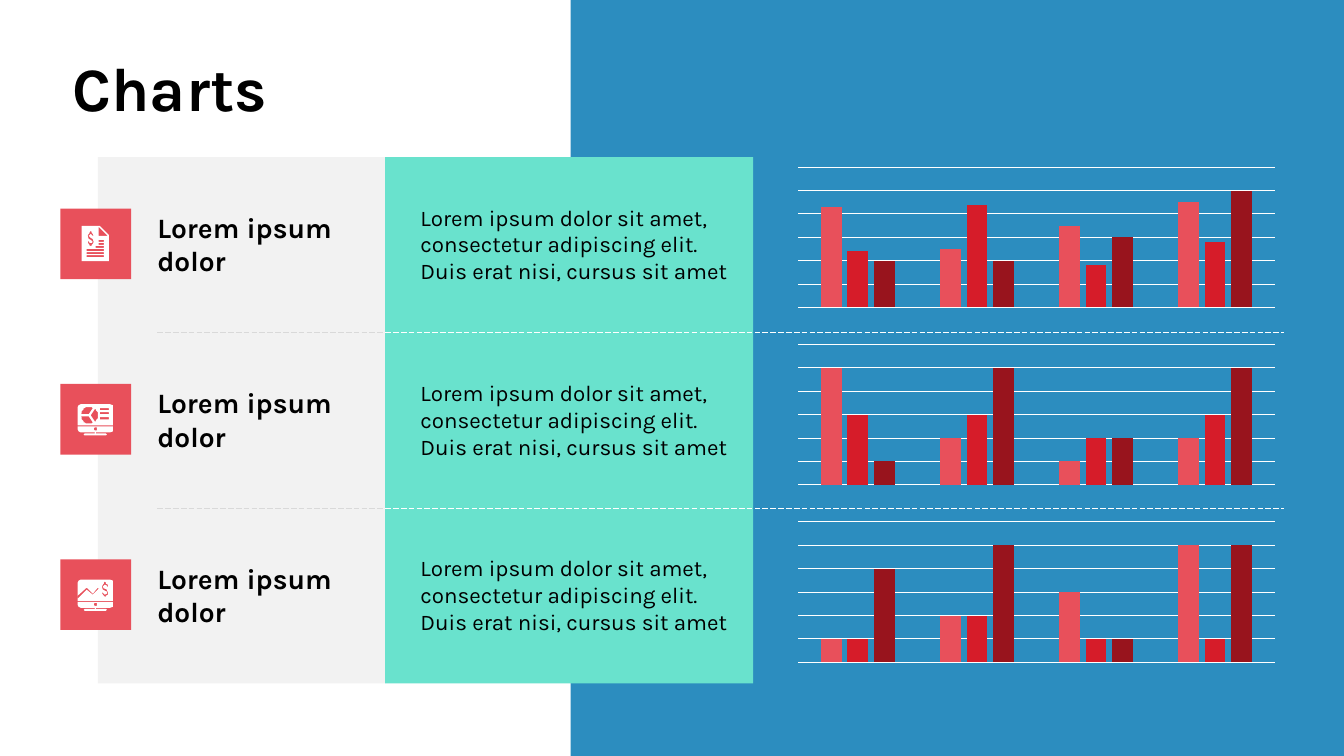
from math import cos, radians, sin

from lxml.etree import SubElement
from pptx import Presentation
from pptx.chart.data import CategoryChartData
from pptx.dml.color import RGBColor
from pptx.enum.chart import XL_CHART_TYPE as ChartType
from pptx.enum.dml import MSO_LINE
from pptx.enum.shapes import MSO_CONNECTOR, MSO_SHAPE
from pptx.enum.text import MSO_ANCHOR, PP_ALIGN
from pptx.oxml.ns import qn
from pptx.util import Inches, Pt

WHITE, BLACK, GREY, BLUE, MINT = "FFFFFF", "000000", "F2F2F2", "2C8DBF", "69E2CD"
CORAL, RED, DARK_RED, RULE_GREY = "E8505B", "D61C29", "98141D", "D9D9D9"
HEADING = "Lorem ipsum dolor"
BODY = ("Lorem ipsum dolor sit amet, consectetur adipiscing elit. "
        "Duis erat nisi, cursus sit amet")
TILE = 0.7
ROW_HEIGHT = 1.74

DOLLAR = [(0, 1.5), (-2, 0.5), (-3, -2.5), (-2.5, -4.5), (-1, -5.5), (-1, -6.8),
          (0, -7.5), (1, -6.8), (1, -5.5), (2.5, -4.5), (3, -2.5), (1.8, -2.5),
          (1.2, -4), (0, -4.5), (-1.2, -4), (-1.8, -2.5), (-1.2, -1), (0, -0.5),
          (2, 0.5), (3, 3.5), (2.5, 5.5), (1, 6.5), (0.8, 7.5), (-0.8, 7.5),
          (-1, 6.5), (-2.5, 5.5), (-3, 3.5), (-1.8, 3), (-1.2, 4.5), (0, 5),
          (1.2, 4.5), (1.8, 3.5), (1.2, 2)]
MONITOR_BASE = [(17, 42), (17, 45), (18, 47.2), (20, 48), (34, 48), (34, 49),
                (24, 49), (23, 50), (24, 51), (45, 51), (46, 50), (45, 49),
                (35, 49), (35, 48), (49, 48), (51.5, 47.2), (52.5, 45), (52.5, 42)]
MONITOR_SCREEN = [(49, 20), (20, 20), (18, 21), (17, 23), (17, 41),
                  (52.5, 41), (52.5, 23), (51.5, 21)]


def color(hex_code):
    """Turn a hex string into a colour."""
    return RGBColor.from_string(hex_code)


def add_block(slide, left, top, width, height, fill, kind=MSO_SHAPE.RECTANGLE):
    """Add a flat shape without outline."""
    shape = slide.shapes.add_shape(
        kind, Inches(left), Inches(top), Inches(width), Inches(height))
    flatten(shape, fill)
    return shape


def flatten(shape, fill):
    """Give a shape one plain fill, no outline and no shadow."""
    shape.shadow.inherit = False
    shape.fill.solid()
    shape.fill.fore_color.rgb = color(fill)
    shape.line.fill.background()


def set_text(shape, text, size=16, bold=False, spacing=None, inset=None):
    """Write left-aligned, vertically centred text into a shape."""
    frame = shape.text_frame
    frame.word_wrap = True
    frame.vertical_anchor = MSO_ANCHOR.MIDDLE
    if inset is not None:
        frame.margin_left = frame.margin_right = Inches(inset)
        frame.margin_top = frame.margin_bottom = Inches(inset)
    paragraph = frame.paragraphs[0]
    paragraph.alignment = PP_ALIGN.LEFT
    paragraph.line_spacing = spacing
    run = paragraph.add_run()
    run.text = text
    run.font.name = "Karla"
    run.font.size = Pt(size)
    run.font.bold = bold
    run.font.color.rgb = color(BLACK)


def add_label(slide, left, top, width, height, text, **text_format):
    """Add a text box without insets."""
    box = slide.shapes.add_textbox(
        Inches(left), Inches(top), Inches(width), Inches(height))
    set_text(box, text, inset=0, **text_format)


def add_rule(slide, left, right, top, line_color):
    """Add a thin dashed horizontal line."""
    rule = slide.shapes.add_connector(
        MSO_CONNECTOR.STRAIGHT, Inches(left), Inches(top), Inches(right), Inches(top))
    rule.line.color.rgb = color(line_color)
    rule.line.width = Pt(0.5)
    rule.line.dash_style = MSO_LINE.LONG_DASH
    SubElement(rule._element.spPr, qn("a:effectLst"))


def bar(left, top, right, height):
    """Return the outline of a small bar."""
    return [(left, top), (right, top), (right, top + height), (left, top + height)]


def arc(x, y, radius, start, end):
    """Return points along an arc given in degrees."""
    steps = 16
    angles = [radians(start + (end - start) * step / steps) for step in range(steps + 1)]
    return [(x + radius * cos(angle), y + radius * sin(angle)) for angle in angles]


def dollar(x, y):
    """Return a dollar sign outline centred on a point."""
    return [(x + dx, y + dy) for dx, dy in DOLLAR]


def add_outline(slide, left, top, contours):
    """Add a white outline with cut-outs, in hundredths of an inch."""
    builder = slide.shapes.build_freeform(*contours[0][0], scale=Inches(0.01))
    builder.add_line_segments(contours[0][1:])
    for contour in contours[1:]:
        builder.move_to(*contour[0])
        builder.add_line_segments(contour[1:])
    flatten(builder.convert_to_shape(Inches(left), Inches(top)), WHITE)


def add_invoice_icon(slide, left, top):
    """Draw a sheet with a dollar sign and text lines."""
    sheet = [(48, 26), (39, 17), (21, 17), (21, 52.5), (48, 52.5)]
    fold = [(43, 27), (38, 27), (38, 18), (47, 27)]
    starts = [38, 38, 35, 26, 26, 26]
    lines = [bar(start, 31.2 + 3 * index, 43, 1.5) for index, start in enumerate(starts)]
    add_outline(slide, left, top, [sheet, fold, dollar(30, 29.5), *lines])


def add_monitor(slide, left, top, cutouts):
    """Draw a monitor whose screen shows the given cut-outs."""
    add_outline(slide, left, top, [MONITOR_BASE, arc(34.75, 44.5, 1.5, 0, 360)])
    add_outline(slide, left, top, [MONITOR_SCREEN, *cutouts])


def add_dashboard_icon(slide, left, top):
    """Draw a monitor with a pie and text lines."""
    slices = [(28, 30.2, 180, 300), (28, 31.8, 60, 180), (29.8, 31, -58, 58)]
    pie = [[(x, y), *arc(x, y, 7.5, start, end)] for x, y, start, end in slices]
    lines = [bar(39, 24 + 4.5 * index, 48, 1.6) for index in range(3)]
    add_monitor(slide, left, top, pie + lines)


def add_trend_icon(slide, left, top):
    """Draw a monitor with a trend line and a dollar sign."""
    trend = [(17, 36.5), (26, 28), (32, 33.5), (37.4, 28.2), (38.2, 29),
             (32, 35), (26, 29.5), (17, 39)]
    add_monitor(slide, left, top, [trend, dollar(44.3, 29.8)])


def add_column_chart(slide, left, top, width, height, rows):
    """Add a clustered column chart with gridlines only."""
    data = CategoryChartData()
    data.categories = ["1", "2", "3", "4"]
    for number, values in enumerate(rows, 1):
        data.add_series(f"Series {number}", values)
    chart = slide.shapes.add_chart(
        ChartType.COLUMN_CLUSTERED, Inches(left), Inches(top),
        Inches(width), Inches(height), data).chart
    chart.has_title = chart.has_legend = False
    chart.font.name = "Calibri"
    chart.font.size = Pt(10)
    chart.font.color.rgb = color(BLACK)
    chart.category_axis.visible = False
    axis = chart.value_axis
    axis.visible = False
    axis.minimum_scale, axis.maximum_scale, axis.major_unit = 0, 120, 20
    axis.has_major_gridlines = True
    axis.major_gridlines.format.line.color.rgb = color(WHITE)
    axis.major_gridlines.format.line.width = Pt(0.75)
    plot = chart.plots[0]
    plot.vary_by_categories = False
    plot.gap_width, plot.overlap = 219, -27
    for series, fill in zip(plot.series, (CORAL, RED, DARK_RED)):
        series.format.fill.solid()
        series.format.fill.fore_color.rgb = color(fill)


def add_row(slide, left, top, draw_icon):
    """Add an icon tile with its heading and description."""
    tile = add_block(slide, left, top, TILE, TILE, CORAL, MSO_SHAPE.ROUNDED_RECTANGLE)
    tile.adjustments[0] = 0
    add_label(slide, left + 0.96, top, 1.95, TILE, HEADING, size=20, bold=True)
    add_label(slide, left + 3.57, top, 3.05, TILE, BODY)
    draw_icon(slide, left, top)


def add_title(slide, left, top, width, height, text):
    """Place and format the title."""
    title = slide.shapes.title
    title.left, title.top = Inches(left), Inches(top)
    title.width, title.height = Inches(width), Inches(height)
    set_text(title, text, size=44, bold=True, spacing=0.9)


def build_charts_slide(presentation):
    """Build the slide with three rows of text and charts."""
    slide = presentation.slides.add_slide(presentation.slide_layouts[5])
    top = 1.56
    add_block(slide, 0.97, top, 2.85, 3 * ROW_HEIGHT, GREY)
    add_block(slide, 5.66, 0, 7.67, 7.5, BLUE)
    add_title(slide, 0.62, 0.4, 12.08, 1.02, "Charts")
    add_block(slide, 3.82, top, 3.65, 3 * ROW_HEIGHT, MINT)
    rows = [
        (add_invoice_icon, [(86, 50, 70, 90), (48, 88, 36, 56), (40, 40, 60, 100)]),
        (add_dashboard_icon, [(100, 40, 20, 40), (60, 60, 40, 60), (20, 100, 40, 100)]),
        (add_trend_icon, [(20, 40, 60, 100), (20, 40, 20, 20), (80, 100, 20, 100)]),
    ]
    for index, (draw_icon, values) in enumerate(rows):
        row_top = top + index * ROW_HEIGHT
        add_column_chart(slide, 7.82, 1.63 + 1.76 * index, 4.92, 1.45, values)
        add_row(slide, 0.6, row_top + 0.51, draw_icon)
        if index:
            add_rule(slide, 3.82, 12.74, row_top, WHITE)
            add_rule(slide, 1.56, 3.82, row_top, RULE_GREY)


def main():
    """Create and save the presentation."""
    presentation = Presentation()
    presentation.slide_width, presentation.slide_height = Inches(13.33), Inches(7.5)
    build_charts_slide(presentation)
    presentation.save("out.pptx")


if __name__ == "__main__":
    main()
